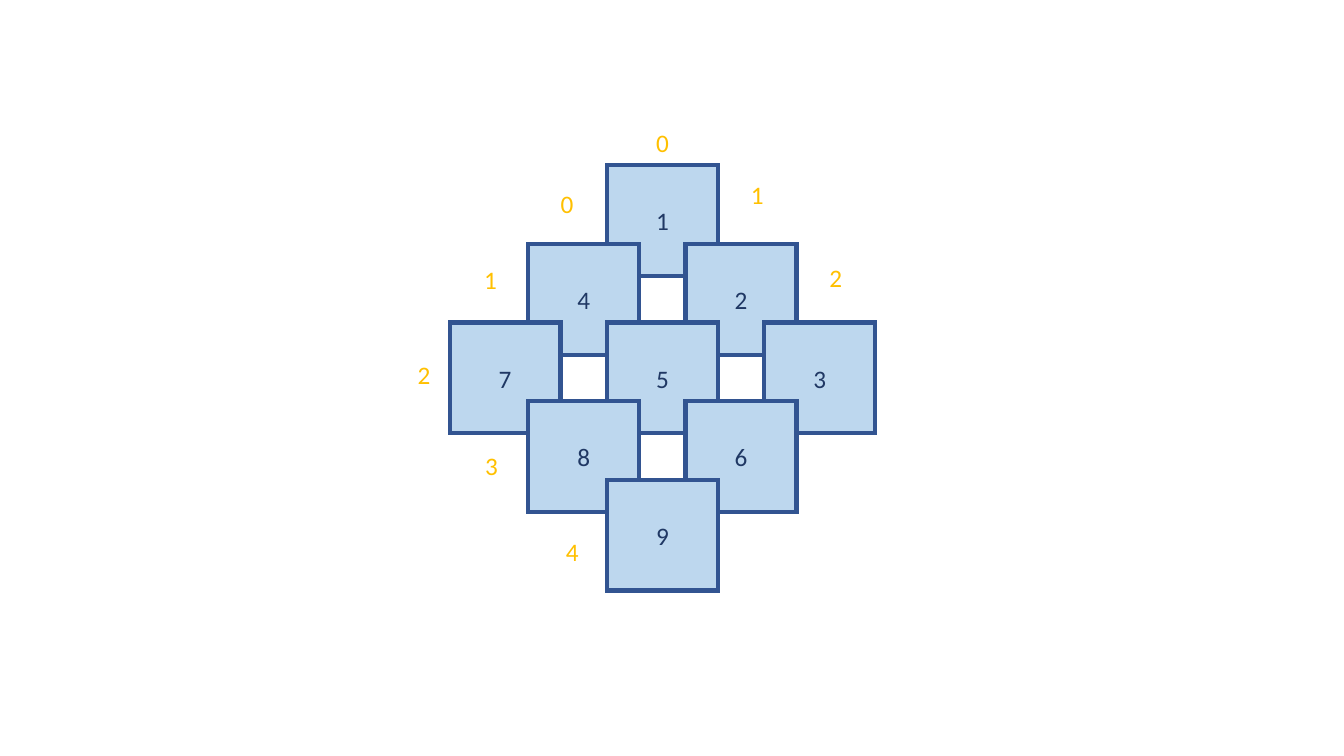
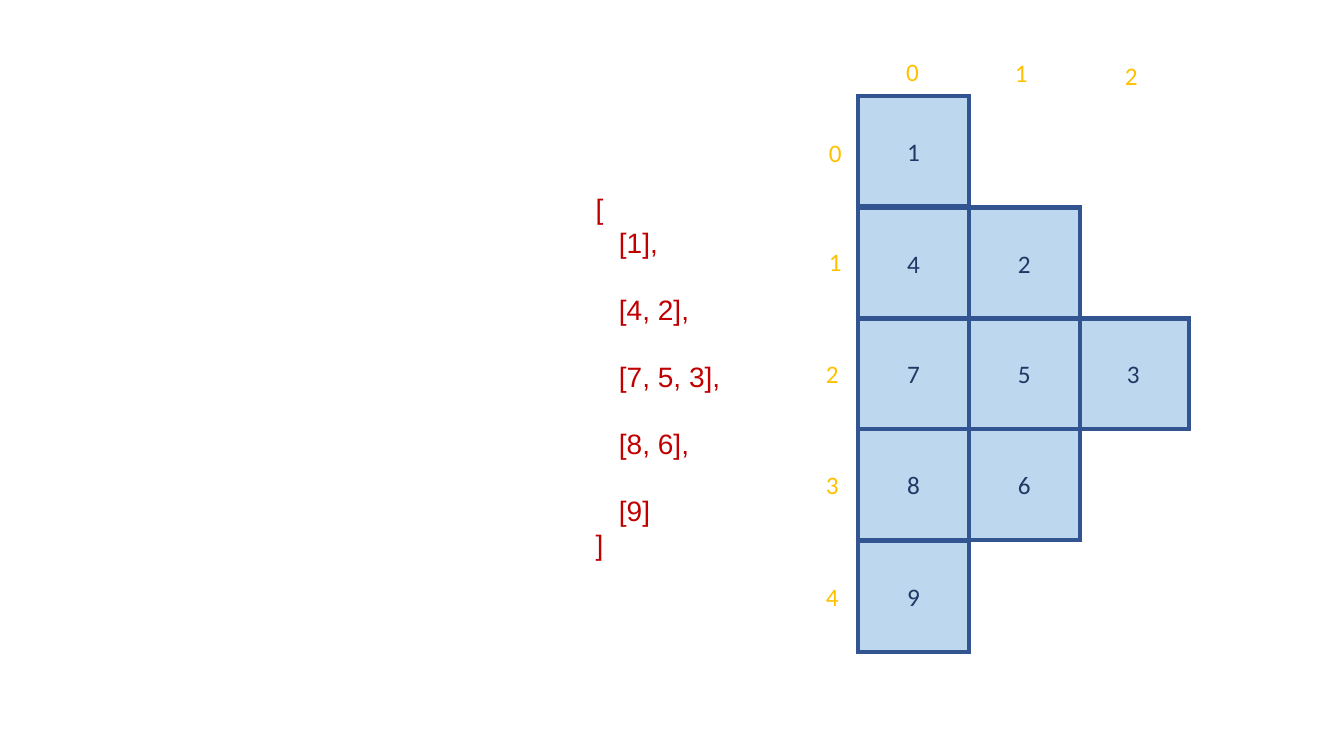
import pptx
import pptx.util
import pptx.dml.color
import pptx.enum.shapes
import pptx.enum.text
import pptx.oxml.ns
import lxml.etree

PX = 9144  # EMU per px, 100 px to the inch
COLORS = {"fill": "BDD7EE", "line": "325491", "value": "203864",
          "index": "FFC000", "code": "C00000"}
CELL, LABEL_H, ROW_LABEL_W = 110, 40, 77

# Content
MATRIX = [[1, 2, 3], [4, 5, 6], [7, 8, 9]]
CODE = ["[", "   [1],", "   [4, 2],", "   [7, 5, 3],", "   [8, 6],", "   [9]", "]"]

# Slide 1: diamond, with the left and top of each index label
DIAMOND = {"left": 602, "top": 164, "step": 78}
DIAMOND_ROW_LABELS = [(524, 182), (448, 257), (382, 352), (449, 442), (529, 527)]
DIAMOND_COL_LABELS = [(602, 121), (696, 173), (774, 255)]

# Slide 2: diagonals as left-aligned rows
STACK_LEFTS = [851, 961, 1069]
STACK_TOPS = [95, 206, 316, 426, 537]
STACK_ROW_LABELS = [(790, 131), (790, 239), (787, 351), (787, 461), (787, 572)]
STACK_COL_LABELS = [(850, 51), (958, 52), (1067, 55)]
CODE_BOX = (581, 185, 144, 380)


def box(left, top, width, height):
    return [pptx.util.Emu(v * PX) for v in (left, top, width, height)]


def rgb(name):
    return pptx.dml.color.RGBColor.from_string(COLORS[name])


def style(p, size, font, color):
    for r in p.runs:
        r.font.size = pptx.util.Pt(size)
        r.font.name = font
        r.font.color.rgb = rgb(color)


def set_number(shape, number, color):
    shape.text_frame.text = str(number)
    p = shape.text_frame.paragraphs[0]
    p.alignment = pptx.enum.text.PP_ALIGN.CENTER
    style(p, 18, "Calibri", color)


def add_cell(s, number, left, top):
    sp = s.shapes.add_shape(pptx.enum.shapes.MSO_SHAPE.RECTANGLE,
                            *box(left, top, CELL, CELL))
    sp.shadow.inherit = False
    sp.fill.solid()
    sp.fill.fore_color.rgb = rgb("fill")
    sp.line.color.rgb = rgb("line")
    sp.line.width = pptx.util.Pt(3)
    # Square corners
    ln = sp.element.spPr.find(pptx.oxml.ns.qn("a:ln"))
    lxml.etree.SubElement(ln, pptx.oxml.ns.qn("a:miter"), lim="800000")
    sp.text_frame.vertical_anchor = pptx.enum.text.MSO_ANCHOR.MIDDLE
    set_number(sp, number, "value")


def add_labels(s, places, width):
    for number, (left, top) in enumerate(places):
        sp = s.shapes.add_textbox(*box(left, top, width, LABEL_H))
        sp.text_frame.word_wrap = True
        set_number(sp, number, "index")


def add_grid_slide(prs, place, row_labels, col_labels):
    """place(row, col) gives the left and top of a matrix cell."""
    s = prs.slides.add_slide(prs.slide_layouts[6])
    for row, numbers in enumerate(MATRIX):
        for col, number in enumerate(numbers):
            add_cell(s, number, *place(row, col))
    add_labels(s, row_labels, ROW_LABEL_W)
    add_labels(s, col_labels, CELL)
    return s


def diamond_place(row, col):
    return (DIAMOND["left"] + (col - row) * DIAMOND["step"],
            DIAMOND["top"] + (col + row) * DIAMOND["step"])


def stack_place(row, col):
    diagonal = row + col
    first_col = max(0, diagonal - len(MATRIX) + 1)
    return STACK_LEFTS[col - first_col], STACK_TOPS[diagonal]


def add_code(s):
    tf = s.shapes.add_textbox(*box(*CODE_BOX)).text_frame
    tf.word_wrap = False
    tf.auto_size = pptx.enum.text.MSO_AUTO_SIZE.SHAPE_TO_FIT_TEXT
    tf.text = "\n".join(CODE)
    for i, p in enumerate(tf.paragraphs):
        style(p, 20, "Arial", "code")
        if 1 < i < len(CODE) - 1:  # gap between the inner rows
            p.space_before = pptx.util.Pt(24)


def main():
    prs = pptx.Presentation()
    prs.slide_width = pptx.util.Emu(1333 * PX)
    prs.slide_height = pptx.util.Emu(750 * PX)
    add_grid_slide(prs, diamond_place, DIAMOND_ROW_LABELS, DIAMOND_COL_LABELS)
    s = add_grid_slide(prs, stack_place, STACK_ROW_LABELS, STACK_COL_LABELS)
    add_code(s)
    prs.save("out.pptx")


if __name__ == "__main__":
    main()
